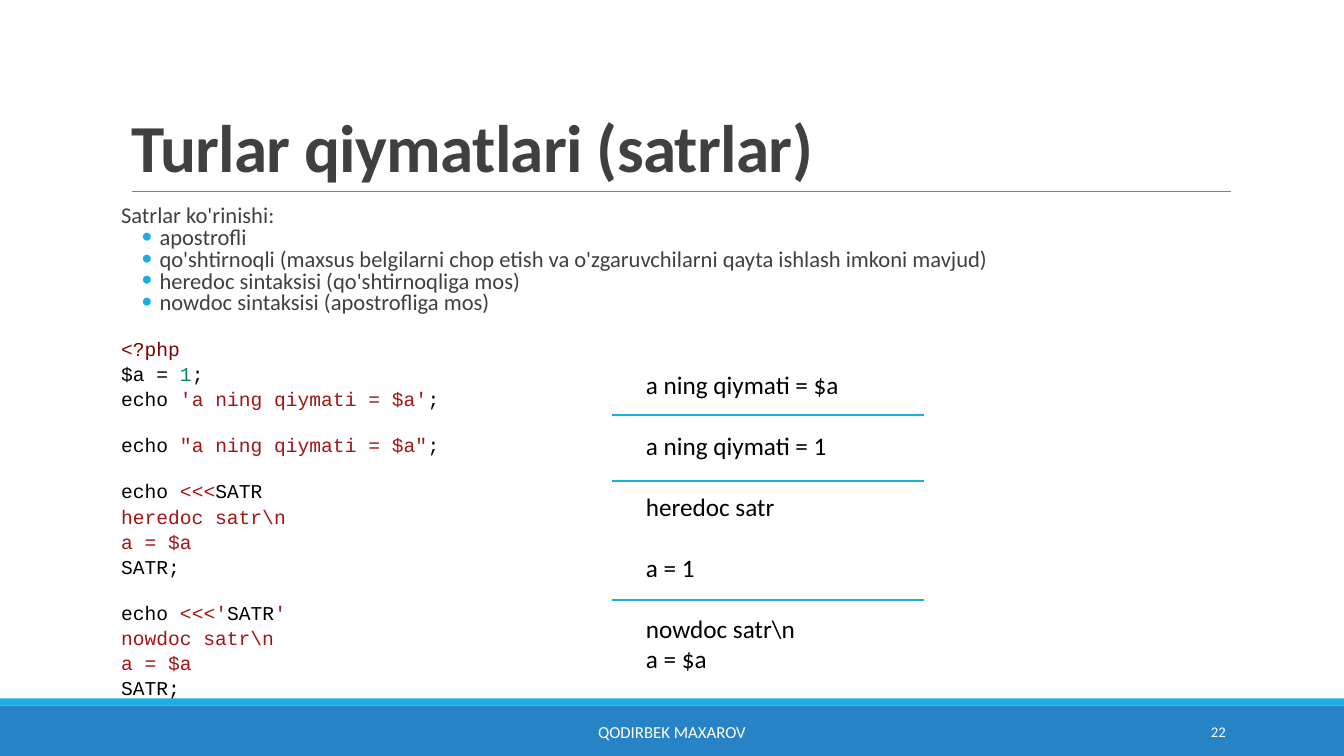
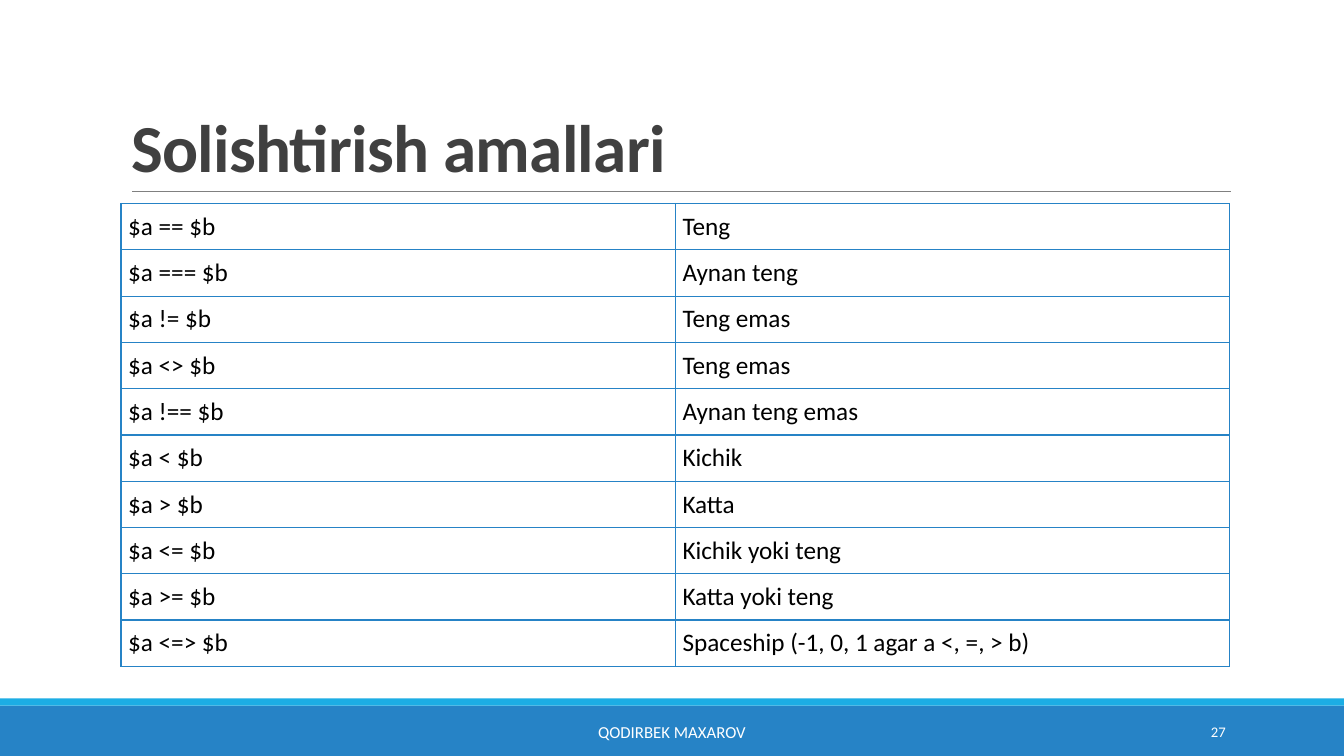
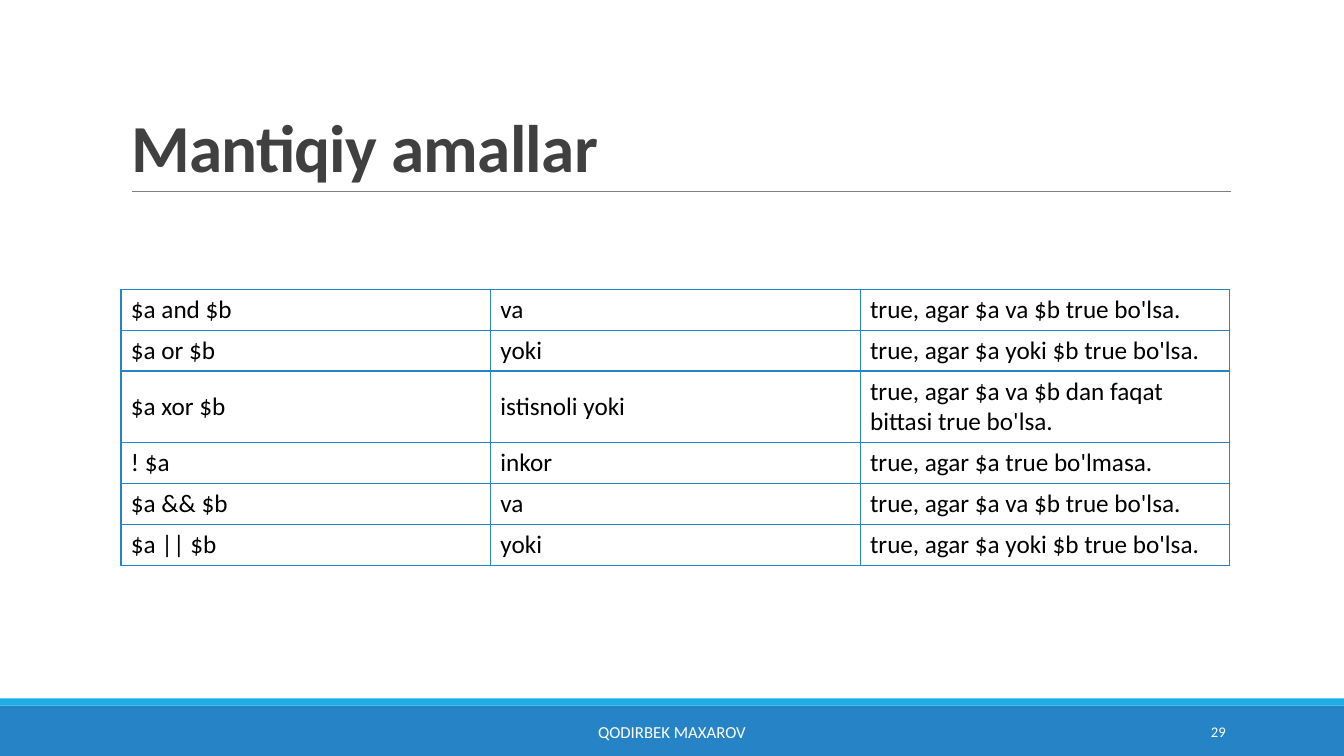
from dataclasses import dataclass

from lxml.etree import SubElement
from pptx import Presentation
from pptx.dml.color import RGBColor
from pptx.enum.shapes import MSO_CONNECTOR, MSO_SHAPE
from pptx.enum.text import MSO_ANCHOR, MSO_AUTO_SIZE, PP_ALIGN
from pptx.oxml.ns import qn
from pptx.util import Cm, Pt


@dataclass(frozen=True)
class Theme:
    # colours
    blue: str = "2683C6"
    cyan: str = "1CADE4"
    grey: str = "808080"
    text: str = "404040"
    black: str = "000000"
    white: str = "FFFFFF"
    tag: str = "800000"
    number: str = "098658"
    string: str = "A31515"
    # fonts and sizes
    font: str = "Calibri"
    mono: str = "Courier New"
    title: float = 48
    body: float = 16.1
    code: float = 14
    plain: float = 18
    footer: float = 12
    page: float = 10.5


T = Theme()
WIDTH, HEIGHT = 33.87, 19.05
TITLE_BOX = (3.05, 0.79, 27.94, 4.04)
BODY_BOX = (3.05, 5.13, 27.94, 12.34)
RESULT_BOX = (16.03, 9.17, 16.94, 7.95)
LOGIC_BOX = (3.05, 7.29, 27.94, 6.86)
FOOTER_BOX = (10.24, 17.93, 13.39, 1.02)
PAGE_BOX = (27.51, 17.93, 3.63, 1.02)

INTRO = "Satrlar ko'rinishi:"
KINDS = [
    "apostrofli",
    "qo'shtirnoqli (maxsus belgilarni chop etish va o'zgaruvchilarni qayta ishlash imkoni mavjud)",
    "heredoc sintaksisi (qo'shtirnoqliga mos)",
    "nowdoc sintaksisi (apostrofliga mos)",
]
# each block of code is a list of lines, each line a list of (text, colour)
CODE = [
    [[("<?php", T.tag)],
     [("$a = ", T.black), ("1", T.number), (";", T.black)],
     [("echo ", T.black), ("'a ning qiymati = $a'", T.string), (";", T.black)]],
    [[("echo ", T.black), ('"a ning qiymati = $a"', T.string), (";", T.black)]],
    [[("echo ", T.black), ("<<<", T.string), ("SATR", T.black)],
     [("heredoc satr\\n", T.string)],
     [("a = $a", T.string)],
     [("SATR;", T.black)]],
    [[("echo ", T.black), ("<<<'", T.string), ("SATR", T.black), ("'", T.string)],
     [("nowdoc satr\\n", T.string)],
     [("a = $a", T.string)],
     [("SATR;", T.black)]],
]
RESULTS = [["a ning qiymati = $a"], ["a ning qiymati = 1"], ["heredoc satr"],
           ["a = 1"], ["nowdoc satr\\n", "a = $a"]]
COMPARISONS = [
    ("$a == $b", "Teng"),
    ("$a === $b", "Aynan teng"),
    ("$a != $b", "Teng emas"),
    ("$a <> $b", "Teng emas"),
    ("$a !== $b", "Aynan teng emas"),
    ("$a < $b", "Kichik"),
    ("$a > $b", "Katta"),
    ("$a <= $b", "Kichik yoki teng"),
    ("$a >= $b", "Katta yoki teng"),
    ("$a <=> $b", "Spaceship (-1, 0, 1 agar a <, =, > b)"),
]
LOGIC = [
    ("$a and $b", "va", "true, agar $a va $b true bo'lsa."),
    ("$a or $b", "yoki", "true, agar $a yoki $b true bo'lsa."),
    ("$a xor $b", "istisnoli yoki", "true, agar $a va $b dan faqat bittasi true bo'lsa."),
    ("! $a", "inkor", "true, agar $a true bo'lmasa."),
    ("$a && $b", "va", "true, agar $a va $b true bo'lsa."),
    ("$a || $b", "yoki", "true, agar $a yoki $b true bo'lsa."),
]


# Helpers
def place(sp, box):
    sp.left, sp.top, sp.width, sp.height = (Cm(v) for v in box)


def style(r, size, color=T.black, font=T.font, bold=False):
    r.font.size, r.font.name, r.font.bold = Pt(size), font, bold
    r.font.color.rgb = RGBColor.from_string(color)


def add_run(p, text, *look):
    r = p.add_run()
    r.text = text
    style(r, *look)


def paragraphs(tf):
    """Yield the first paragraph of a frame, then new ones."""
    yield tf.paragraphs[0]
    while True:
        yield tf.add_paragraph()


def spacing(p, before=0, after=0, line=1.0):
    p.space_before, p.space_after, p.line_spacing = Pt(before), Pt(after), line


def bullet(p, char=None):
    pPr = p._p.get_or_add_pPr()
    pPr.set("marL", str(Cm(0.97) if char else 0))
    pPr.set("indent", str(Cm(-0.46) if char else 0))
    if not char:
        SubElement(pPr, qn("a:buNone"))
        return
    clr = SubElement(pPr, qn("a:buClr"))
    SubElement(clr, qn("a:srgbClr"), val=T.cyan)
    SubElement(pPr, qn("a:buFont"), typeface=T.font)
    SubElement(pPr, qn("a:buChar"), char=char)


def add_band(s, box, color):
    sp = s.shapes.add_shape(MSO_SHAPE.RECTANGLE, *(Cm(v) for v in box))
    sp.shadow.inherit = False
    sp.fill.solid()
    sp.fill.fore_color.rgb = RGBColor.from_string(color)
    sp.line.fill.background()
    return sp


def add_rule(s, x, y, width, color, weight):
    sp = s.shapes.add_connector(MSO_CONNECTOR.STRAIGHT, Cm(x), Cm(y), Cm(x + width), Cm(y))
    sp.line.color.rgb = RGBColor.from_string(color)
    sp.line.width = Pt(weight)
    SubElement(sp.element.spPr, qn("a:effectLst"))
    return sp


def add_label(s, box, text, size, align):
    sp = s.shapes.add_textbox(*(Cm(v) for v in box))
    tf = sp.text_frame
    tf.word_wrap, tf.vertical_anchor = True, MSO_ANCHOR.MIDDLE
    p = tf.paragraphs[0]
    p.alignment = align
    add_run(p, text, size, T.white)


# Shared frame
def setup_master(prs, s):
    """Draw bands and title rule on s, then move them to the master."""
    master = prs.slide_master
    parts = [
        add_band(s, (0, 17.78, WIDTH, 1.27), T.blue),
        add_band(s, (0, 17.6, WIDTH, 0.18), T.cyan),
        add_rule(s, 3.33, 4.83, 27.68, T.grey, 0.5),
    ]
    for i, sp in enumerate(parts):
        next(sp.element.iter(qn("p:cNvPr"))).set("id", str(20 + i))
        master.shapes.element.insert(2 + i, sp.element)
    title = next(sp for sp in master.placeholders if sp.placeholder_format.idx == 0)
    place(title, TITLE_BOX)
    title.text_frame.vertical_anchor = MSO_ANCHOR.BOTTOM
    title.text_frame.auto_size = MSO_AUTO_SIZE.NONE


def fill_frame(s, title, page):
    place(s.shapes.title, TITLE_BOX)
    tf = s.shapes.title.text_frame
    tf.text = title
    p = tf.paragraphs[0]
    p.alignment, p.line_spacing = PP_ALIGN.LEFT, 0.85
    r = p.runs[0]
    style(r, T.title, T.text, bold=True)
    r.font._element.set("spc", "-50")
    add_label(s, FOOTER_BOX, "QODIRBEK MAXAROV", T.footer, PP_ALIGN.CENTER)
    add_label(s, PAGE_BOX, str(page), T.page, PP_ALIGN.RIGHT)


# Regions
def fill_body(s, box):
    """List of string kinds, followed by the code."""
    sp = s.placeholders[1]
    place(sp, box)
    tf = sp.text_frame
    tf.margin_left = tf.margin_right = 0
    tf.auto_size = MSO_AUTO_SIZE.NONE
    new = paragraphs(tf)
    for i, text in enumerate([INTRO, *KINDS]):
        p = next(new)
        spacing(p, after=2, line=0.7)
        bullet(p, "•" if i else None)
        add_run(p, text, T.body, T.text)
    for block in CODE:
        for i, line in enumerate(block):
            p = next(new)
            spacing(p, before=0 if i else 15, after=2, line=0.95)
            bullet(p)
            for text, color in line:
                add_run(p, text, T.code, color, T.mono)


def add_results(s, box):
    """Output of the code, with rules between the cases."""
    sp = s.shapes.add_textbox(*(Cm(v) for v in box))
    tf = sp.text_frame
    tf.word_wrap = True
    new = paragraphs(tf)
    for b, block in enumerate(RESULTS):
        for i, text in enumerate(block):
            p = next(new)
            spacing(p, before=22 if b and not i else 0)
            add_run(p, text, T.plain)
    for dy in (1.29, 2.95, 5.94):
        add_rule(s, box[0] - 0.61, box[1] + dy, 7.87, T.cyan, 1.5)


def add_grid(s, box, rows, heights, inset_x, inset_y):
    cols = len(rows[0])
    table = s.shapes.add_table(len(rows), cols, *(Cm(v) for v in box)).table
    table.first_row = table.horz_banding = False
    for col in table.columns:
        col.width = Cm(box[2] / cols)
    for row, height, texts in zip(table.rows, heights, rows):
        row.height = Cm(height)
        for cell, text in zip(row.cells, texts):
            cell.text = text
            style(cell.text_frame.paragraphs[0].runs[0], T.plain)
            cell.vertical_anchor = MSO_ANCHOR.MIDDLE
            cell.margin_left = cell.margin_right = Cm(inset_x)
            cell.margin_top = cell.margin_bottom = Cm(inset_y)
            tcPr = cell._tc.get_or_add_tcPr()
            for side in "LRTB":
                ln = SubElement(tcPr, qn("a:ln" + side), w=str(Pt(1)))
                SubElement(SubElement(ln, qn("a:solidFill")), qn("a:srgbClr"), val=T.blue)
            cell.fill.background()


def main():
    prs = Presentation()
    prs.slide_width, prs.slide_height = Cm(WIDTH), Cm(HEIGHT)
    content, title_only = prs.slide_layouts[1], prs.slide_layouts[5]

    # Strings
    s = prs.slides.add_slide(content)
    setup_master(prs, s)
    fill_frame(s, "Turlar qiymatlari (satrlar)", 22)
    fill_body(s, BODY_BOX)
    add_results(s, RESULT_BOX)

    # Comparison operators
    s = prs.slides.add_slide(title_only)
    fill_frame(s, "Solishtirish amallari", 27)
    box = (*BODY_BOX[:3], 11.66)
    add_grid(s, box, COMPARISONS, [box[3] / len(COMPARISONS)] * len(COMPARISONS), 0.18, 0.08)

    # Logical operators
    s = prs.slides.add_slide(title_only)
    fill_frame(s, "Mantiqiy amallar", 29)
    add_grid(s, LOGIC_BOX, LOGIC, [1.03, 1.03, 1.8, 1.03, 1.03, 1.03], 0.25, 0.13)

    prs.save("out.pptx")


if __name__ == "__main__":
    main()
